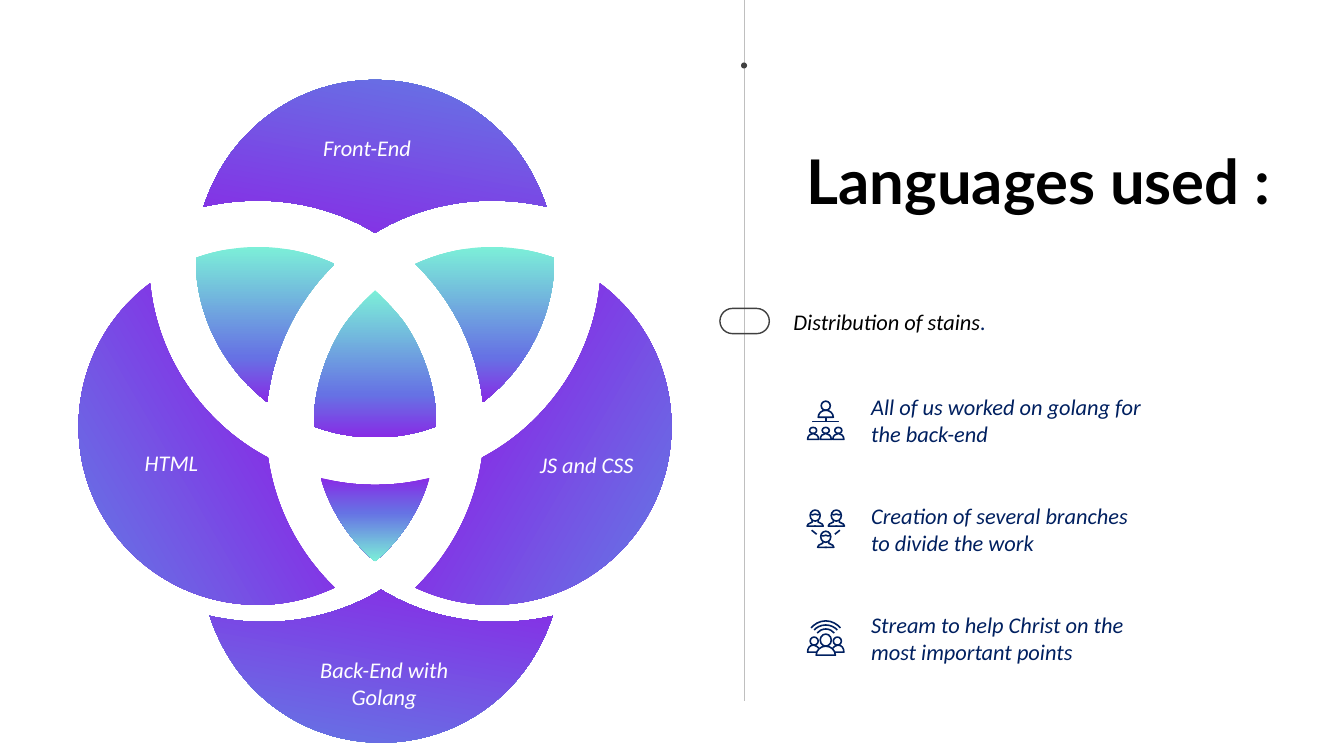
from copy import deepcopy

from lxml.etree import SubElement
from pptx import Presentation
from pptx.dml.color import RGBColor
from pptx.enum.shapes import MSO_CONNECTOR, MSO_SHAPE
from pptx.enum.text import MSO_ANCHOR, MSO_AUTO_SIZE, PP_ALIGN
from pptx.oxml.ns import qn
from pptx.util import Inches, Pt

WIDE, HIGH = 13.33, 7.5
PURPLE = RGBColor(0x88, 0x2B, 0xE5)
BLUE = RGBColor(0x66, 0x72, 0xE4)
MINT = RGBColor(0x7C, 0xEF, 0xD8)
NAVY = RGBColor(0x00, 0x20, 0x60)
DARK = RGBColor(0x40, 0x40, 0x40)
GRAY = RGBColor(0xBF, 0xBF, 0xBF)
BLACK = RGBColor(0, 0, 0)
WHITE = RGBColor(0xFF, 0xFF, 0xFF)

# Gradients: stops in percent
SIDE = [(28, PURPLE), (92, BLUE), (100, MINT)]
CAP = [(3, MINT), (13, BLUE), (99, PURPLE)]
FADE = [(0, MINT), (71, BLUE), (100, PURPLE)]
RISE = [(0, PURPLE), (42, BLUE), (100, MINT)]

# Outlines around the hub: a start, then three points for each curve
PETAL = [(-1.59, -.08), (-1.95, -.44), (-2.18, -.91), (-2.23, -1.42),
         (-2.66, -1.1), (-2.94, -.58), (-2.94, 0),
         (-2.94, .98), (-2.15, 1.77), (-1.16, 1.77),
         (-.89, 1.77), (-.64, 1.71), (-.4, 1.6),
         (-.76, 1.25), (-.99, .8), (-1.06, .31),
         (-1.25, .21), (-1.43, .08), (-1.59, -.08)]
LENS = [(-1.16, -1.78), (-1.38, -1.78), (-1.59, -1.74), (-1.78, -1.67),
        (-1.78, -1.21), (-1.6, -.76), (-1.26, -.41),
        (-1.2, -.35), (-1.13, -.29), (-1.07, -.24),
        (-1.01, -.76), (-.78, -1.24), (-.4, -1.61),
        (-.64, -1.72), (-.89, -1.78), (-1.16, -1.78)]
# Right halves of the symmetric outlines
CROWN = [(0, -1.92), (.34, -2.13), (.75, -2.24), (1.16, -2.24),
         (1.34, -2.24), (1.52, -2.22), (1.7, -2.18),
         (1.61, -2.45), (1.47, -2.7), (1.25, -2.92), (.56, -3.61)]
CORE = [(0, -1.35), (.11, -1.24), (.22, -1.13), (.31, -1),
        (.51, -.69), (.61, -.33), (.61, 0),
        (.42, .07), (.22, .11), (0, .11)]
TIP = [(0, 1.34), (.25, 1.13), (.44, .84), (.54, .51),
       (.36, .56), (.18, .58), (0, .58)]


def flip(points):
    return [(-x, y) for x, y in points]


def whole(half):
    back = flip(half[::-1])
    return half + (back[1:] if half[-1][0] == 0 else back)


def trace(pen, hub, points, close=False, bend=True):
    """Draw an outline around a hub, with curves unless bend is False."""
    spots = [(Inches(hub[0] + x), Inches(hub[1] + y)) for x, y in points]
    maker = pen.build_freeform(*spots[0])
    maker.add_line_segments(spots[1:], close=close)
    shape = maker.convert_to_shape()
    shape.shadow.inherit = False
    if bend:
        steps = list(shape._element.iter(qn("a:lnTo")))
        for i in range(0, len(points) - 1, 3):
            curve = steps[i].makeelement(qn("a:cubicBezTo"), {})
            steps[i].addprevious(curve)
            for step in steps[i:i + 3]:
                curve.append(step[0])
                step.getparent().remove(step)
    return shape


def blend(shape, stops, angle):
    shape.line.fill.background()
    shape.fill.gradient()
    shape.fill.gradient_angle = 360 - angle
    chain = next(shape._element.iter(qn("a:gsLst")))
    chain.append(deepcopy(chain[-1]))
    for stop, (share, color) in zip(shape.fill.gradient_stops, stops):
        stop.position = share / 100
        stop.color.rgb = color


def ink(shape, color=NAVY, width=1.13):
    shape.fill.background()
    shape.line.color.rgb = color
    shape.line.width = Pt(width)


def form(pen, kind, x, y, w, h):
    shape = pen.add_shape(kind, Inches(x), Inches(y), Inches(w), Inches(h))
    shape.shadow.inherit = False
    return shape


def rule(pen, start, end, color=NAVY, width=1.13):
    line = pen.add_connector(MSO_CONNECTOR.STRAIGHT,
                             *[Inches(v) for v in (*start, *end)])
    line.line.color.rgb = color
    line.line.width = Pt(width)
    SubElement(line._element.spPr, qn("a:effectLst"))


def setup(frame):
    frame.margin_left = frame.margin_right = 0
    frame.margin_top = frame.margin_bottom = 0
    frame.word_wrap = True
    frame.vertical_anchor = MSO_ANCHOR.TOP
    frame.auto_size = MSO_AUTO_SIZE.SHAPE_TO_FIT_TEXT


def label(pen, box, text, color, align=PP_ALIGN.LEFT):
    frame = pen.add_textbox(*[Inches(v) for v in box]).text_frame
    setup(frame)
    frame.text = text
    line = frame.paragraphs[0]
    line.alignment = align
    font = line.runs[0].font
    font.name, font.size, font.italic = "Calibri", Pt(16), True
    font.color.rgb = color
    return line


def flower(slide, hub):
    pen = slide.shapes.add_group_shape().shapes
    low = (hub[0] + .06, hub[1] + 5.23)
    # Petals and overlaps
    for spot, points, stops, angle in [
            (hub, PETAL, SIDE, 150), (hub, whole(CROWN), CAP, 100),
            (hub, flip(PETAL), SIDE, 30), (hub, whole(TIP), RISE, 90),
            (hub, flip(LENS), FADE, 90), (hub, LENS, FADE, 90),
            (hub, whole(CORE), FADE, 90)]:
        blend(trace(pen, spot, points, True), stops, angle)
    base = trace(pen, low, whole(CROWN), True)
    blend(base, CAP, 100)
    base.rotation = 180
    # Petal names
    for x, y, h, text in [(1.41, .25, .27, "JS and CSS"), (-2.71, .23, .27, "HTML"),
                          (-.77, -2.9, .27, "Front-End"),
                          (-.6, 2.28, .54, "Back-End with Golang")]:
        label(pen, (hub[0] + x, hub[1] + y, 1.38, h), text, WHITE, PP_ALIGN.CENTER)


def head(pen, x, y, w, h):
    ink(form(pen, MSO_SHAPE.OVAL, x - w / 2, y, w, h))


def bust(pen, x, y, w, h):
    half = [(-w / 2, h), (-w / 2, .45 * h), (-.27 * w, 0), (0, 0)]
    ink(trace(pen, (x, y), whole(half), True))


def chart(pen, x, y):
    head(pen, x, y + .08, .09, .09)
    bust(pen, x, y + .17, .15, .07)
    for dx in (-.125, 0, .125):
        head(pen, x + dx, y + .34, .07, .06)
        bust(pen, x + dx, y + .4, .11, .06)
    ink(trace(pen, (x, y), whole([(-.125, .29), (-.125, .28)]), bend=False))
    rule(pen, (x, y + .24), (x, y + .29))


def team(pen, x, y):
    arm = [(.03, .1), (.03, .12), (.07, .14), (.08, .16), (-.01, .16)]
    hair = [(.05, .04), (.04, .05), (.01, .05), (0, .04)]
    for dx, dy in [(-.105, .08), (.105, .08), (0, .29)]:
        spot = (x + dx, y + dy)
        for side in (flip(arm), arm):
            ink(trace(pen, spot, side, bend=False))
        head(pen, *spot, .1, .11)
        ink(trace(pen, spot, whole(hair)))
    for way in (-1, 1):
        rule(pen, (x + way * .14, y + .28), (x + way * .09, y + .32))


def stream(pen, x, y):
    arm = ([(-.09, .41)] + [(-.18, .41)] * 3
           + [(-.18, .37), (-.16, .34), (-.12, .34), (-.1, .34), (-.08, .36), (-.07, .37)])
    for way, side in [(-1, arm), (1, flip(arm))]:
        head(pen, x + way * .115, y + .26, .08, .08)
        ink(trace(pen, (x, y), side))
    head(pen, x, y + .23, .11, .12)
    bust(pen, x, y + .35, .19, .09)
    for w, low, top in [(.085, .22, .18), (.115, .19, .14), (.145, .17, .1)]:
        wave = [(-w, low), (-.8 * w, (low + top) / 2), (-.45 * w, top), (0, top)]
        ink(trace(pen, (x, y), whole(wave)))


def notes(slide, left, top, step):
    rows = [(chart, "All of us worked on golang for the back-end"),
            (team, "Creation of several branches to divide the work"),
            (stream, "Stream to help Christ on the most important points")]
    for i, (icon, text) in enumerate(rows):
        pen = slide.shapes.add_group_shape().shapes
        y = top + i * step
        icon(pen, left + .19, y)
        label(pen, (left + .64, y, 2.72, .54), text, NAVY)


def axis(slide, x):
    pen = slide.shapes
    rule(pen, (x, 0), (x, 6.95), GRAY, .5)
    pill = form(pen, MSO_SHAPE.ROUNDED_RECTANGLE, x - .24, 3.06, .49, .25)
    pill.adjustments[0] = .5
    ink(pill, DARK, 1)
    line = label(pen, (x + .49, 3.06, 3.87, .27), "Distribution of stains", BLACK)
    stop = line.add_run()
    stop.text = "."
    stop.font.name, stop.font.size, stop.font.italic = "Calibri", Pt(16), True
    stop.font.color.rgb = NAVY
    dot = form(pen, MSO_SHAPE.OVAL, x - .03, .62, .06, .06)
    dot.fill.solid()
    dot.fill.fore_color.rgb = DARK
    dot.line.fill.background()


def heading(slide, x, y, w, h):
    title = slide.shapes.title
    title.left, title.top, title.width, title.height = [Inches(v) for v in (x, y, w, h)]
    setup(title.text_frame)
    title.text_frame.text = "Languages used :"
    line = title.text_frame.paragraphs[0]
    line.alignment, line.line_spacing = PP_ALIGN.LEFT, Pt(40)
    font = line.runs[0].font
    font.name, font.size, font.bold = "Lato", Pt(44), True
    font.color.rgb = BLACK


def main():
    deck = Presentation()
    deck.slide_width, deck.slide_height = Inches(WIDE), Inches(HIGH)
    slide = deck.slides.add_slide(deck.slide_layouts[5])
    flower(slide, (3.72, 4.23))
    heading(slide, 8, 1.6, 4.99, .56)
    axis(slide, 7.38)
    notes(slide, 8, 3.9, 1.08)
    deck.save("out.pptx")


if __name__ == "__main__":
    main()
